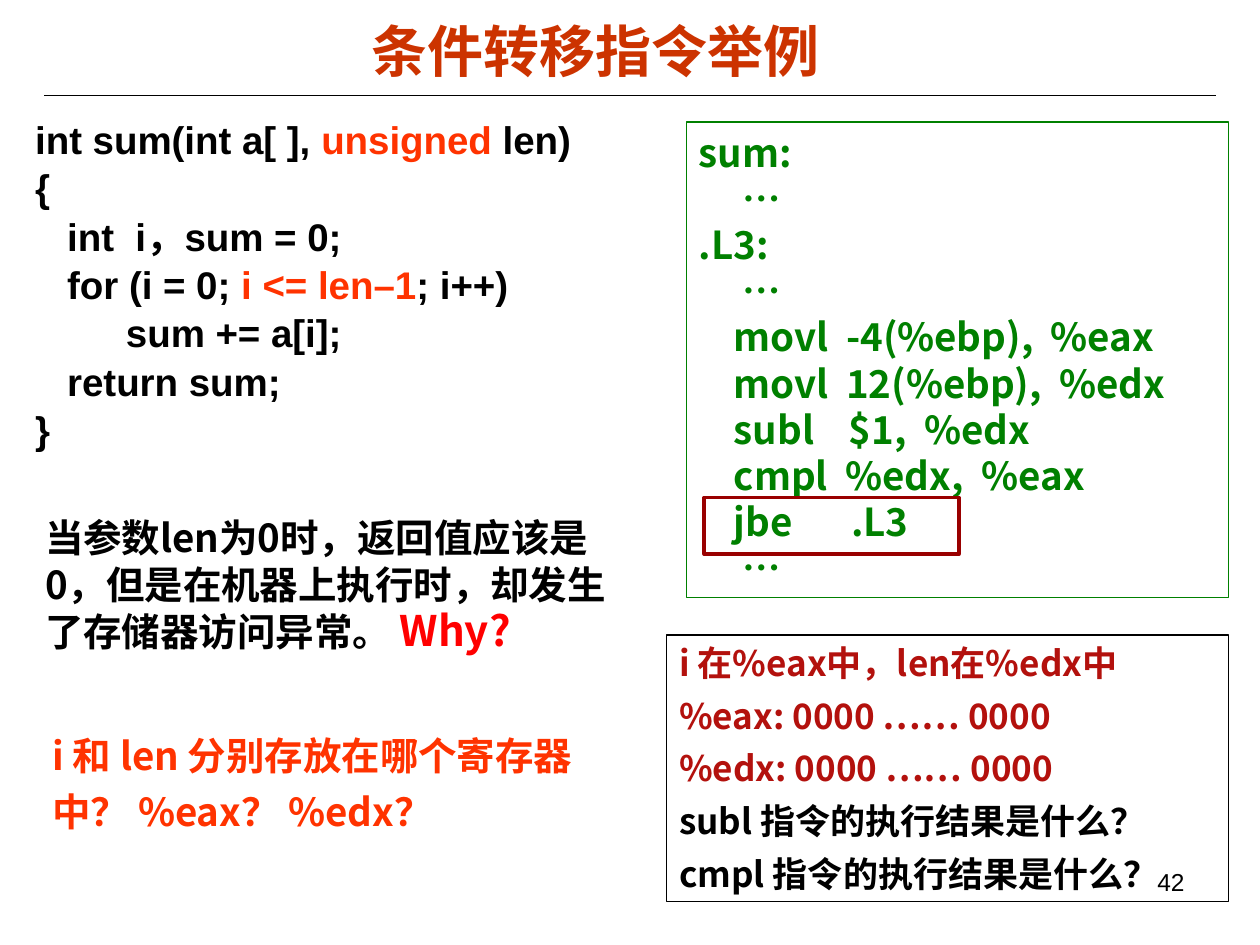
from lxml.etree import SubElement as Sub
from pptx import Presentation
from pptx.dml.color import RGBColor
from pptx.enum.shapes import MSO_CONNECTOR as Link, MSO_SHAPE as Form
from pptx.enum.text import MSO_ANCHOR as Anchor, PP_ALIGN as Align
from pptx.oxml.ns import qn
from pptx.util import Cm, Pt

SANS, HAN = "Arial", "Noto Sans CJK SC"
BLACK, GREEN, RED, ORANGE = "000000", "008000", "B3110D", "FF3300"


def tint(code):
    """Turn a hex string into a colour."""
    return RGBColor.from_string(code)


def frame(slide, box, line, width=0.75, fill=None):
    """Draw an outlined rectangle."""
    shape = slide.shapes.add_shape(Form.RECTANGLE, *map(Cm, box))
    shape.shadow.inherit = False
    if fill:
        shape.fill.solid()
        shape.fill.fore_color.rgb = tint(fill)
    else:
        shape.fill.background()
    shape.line.color.rgb = tint(line)
    shape.line.width = Pt(width)
    return shape


def label(slide, box):
    """Add an empty text box."""
    return slide.shapes.add_textbox(*map(Cm, box))


def write(shape, rows, size, color, face=HAN, bold=True, align=Align.LEFT,
          anchor=Anchor.MIDDLE, lead=1.2, gap=0, hang=0):
    """Write rows of (text, colour, size) runs; a plain string is one run."""
    body = shape.text_frame
    body.word_wrap = True
    body.vertical_anchor = anchor
    for i, row in enumerate(rows):
        para = body.paragraphs[0] if i == 0 else body.add_paragraph()
        para.alignment = align
        para.line_spacing = Pt(round(size * lead, 1))
        if i and gap:
            para.space_before = Pt(gap)
        props = para._p.get_or_add_pPr()
        if hang:
            props.set("marL", str(Cm(hang)))
            props.set("indent", str(-Cm(hang)))
        font = para.font
        font.size, font.bold, font.name = Pt(size), bold, face
        font.color.rgb = tint(color)
        Sub(props.find(qn("a:defRPr")), qn("a:ea")).set("typeface", HAN)
        for part in [(row,)] if isinstance(row, str) else row:
            run = para.add_run()
            run.text = part[0]
            if len(part) > 1:
                run.font.color.rgb = tint(part[1])
            if len(part) > 2:
                run.font.size = Pt(part[2])


def header(slide, box):
    """Place the title and the rule below it."""
    x, y, w, h = box
    write(label(slide, box), ["条件转移指令举例"], 32, "CC3300", SANS,
          align=Align.CENTER)
    left, level = x + 0.31, y + h + 0.18
    rule = slide.shapes.add_connector(
        Link.STRAIGHT, Cm(left), Cm(level), Cm(left + 23.62), Cm(level))
    rule.line.color.rgb = tint(BLACK)
    rule.line.width = Pt(0.75)
    Sub(rule._element.spPr, qn("a:effectLst"))


def source(slide, box):
    """Place the C function."""
    rows = [
        [("int sum(int a[ ], ",), ("unsigned", ORANGE), (" len)",)],
        "{",
        "   int  i，sum = 0;",
        [("   for (i = 0; ",), ("i <= len–1", ORANGE), ("; i++)",)],
        "\t    sum += a[i];",
        "   return sum;",
        "}",
    ]
    write(label(slide, box), rows, 22, BLACK, SANS, anchor=Anchor.TOP,
          lead=1.26, hang=0.97)


def listing(slide, box):
    """Place the assembly code and mark its jump."""
    x, y, w, h = box
    rows = [
        "sum:",
        "     …",
        ".L3:",
        "     …",
        "    movl  -4(%ebp),  %eax",
        "    movl  12(%ebp),  %edx",
        "    subl    $1,  %edx",
        "    cmpl  %edx,  %eax",
        "    jbe\t   .L3",
        "     …",
    ]
    write(frame(slide, box, GREEN), rows, 22, GREEN)
    frame(slide, (x + 0.36, y + 7.57, 5.13, 1.14), "990000", 2.25)


def puzzle(slide, box):
    """Place the puzzle and the question on registers below it."""
    x, y, w, h = box
    text = "当参数len为0时，返回值应该是0，但是在机器上执行时，却发生了存储器访问异常。 "
    write(label(slide, box), [[(text,), ("Why?", "FF0000", 24)]], 22, BLACK,
          lead=1.23)
    ask = label(slide, (x + 0.15, y + 4.26, 11.2, 2.49))
    write(ask, ["i 和 len 分别存放在哪个寄存器中？ %eax？ %edx？"], 22, ORANGE,
          lead=1.44)


def notes(slide, box):
    """Place the register values and the follow-up questions."""
    rows = [
        "i 在%eax中，len在%edx中",
        "%eax: 0000 …… 0000",
        "%edx: 0000 …… 0000",
        [("subl 指令的执行结果是什么？", BLACK)],
        [("cmpl 指令的执行结果是什么？", BLACK)],
    ]
    write(frame(slide, box, BLACK, fill="FFFFFF"), rows, 20, RED,
          anchor=Anchor.TOP, gap=6.2)


def folio(slide, box):
    """Place the page number."""
    write(label(slide, box), ["42"], 14, BLACK, SANS, bold=False,
          align=Align.RIGHT, anchor=Anchor.TOP)


def main():
    """Build the slide and save it."""
    deck = Presentation()
    deck.slide_width, deck.slide_height = Cm(25.4), Cm(19.05)
    slide = deck.slides.add_slide(deck.slide_layouts[6])
    header(slide, (0.58, 0.28, 22.86, 1.47))
    source(slide, (0.46, 2.16, 12.6, 7.59))
    puzzle(slide, (0.66, 10.19, 12.42, 3.15))
    listing(slide, (13.84, 2.46, 10.92, 9.58))
    notes(slide, (13.44, 12.8, 11.33, 5.38))
    folio(slide, (18.21, 17.35, 5.92, 1.32))
    deck.save("out.pptx")


if __name__ == "__main__":
    main()
